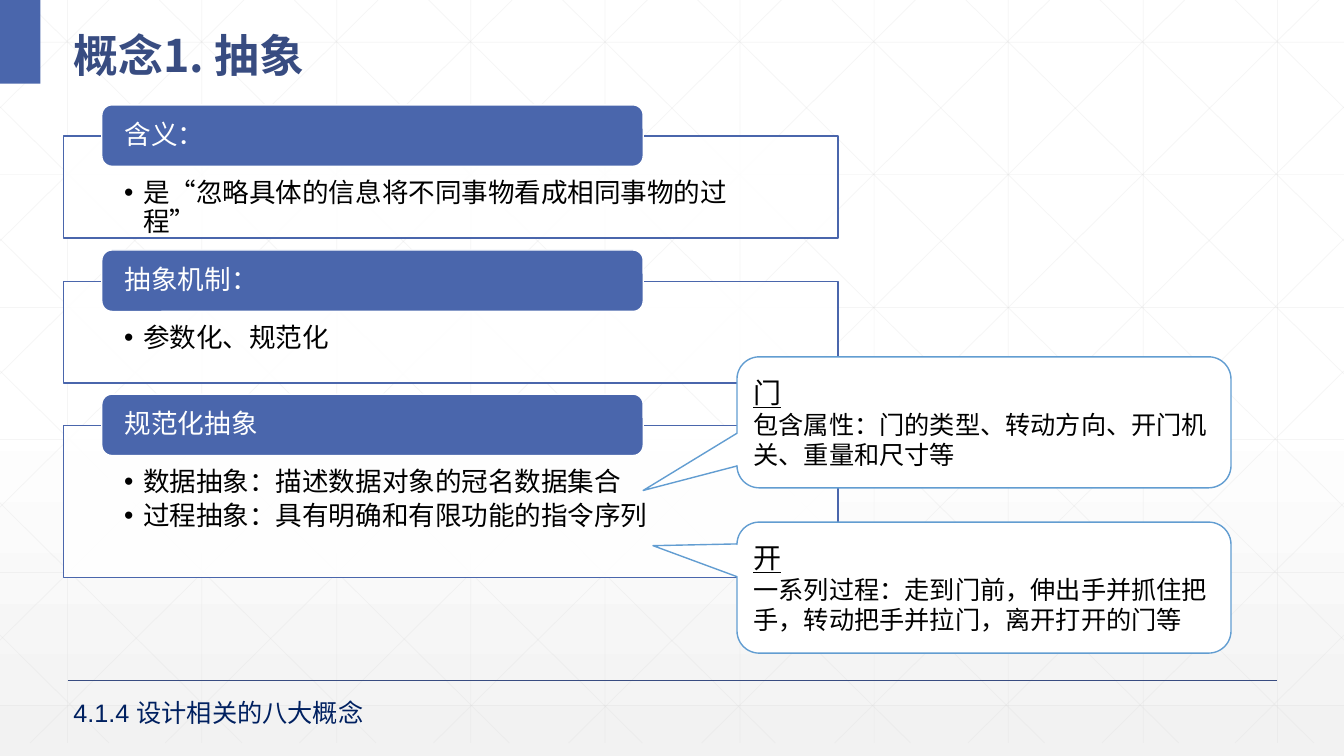
from dataclasses import dataclass

from lxml import etree
from pptx import Presentation
from pptx import util as u
from pptx.dml.color import RGBColor
from pptx.enum import lang, shapes, text
from pptx.oxml.ns import qn

PX = 9144
WIDE, HIGH = 1333, 750


@dataclass(frozen=True)
class Theme:
    blue: str = "4A66AC"
    deep: str = "384C81"
    sky: str = "629DD1"
    navy: str = "002060"
    black: str = "000000"
    white: str = "FFFFFF"
    mist: str = "F2F2F2"
    grey: str = "D9D9D9"
    latin: str = "Arial"
    asian: str = "Noto Sans CJK SC"
    title: int = 32
    lead: int = 20
    body: int = 19
    note: int = 18


def px(*nums):
    return [u.Emu(round(n) * PX) for n in nums]


def tint(fill, color, alpha=None):
    fill.solid()
    fill.fore_color.rgb = RGBColor.from_string(color)
    if alpha:
        clr = fill._xPr.find(".//" + qn("a:srgbClr"))
        etree.SubElement(clr, qn("a:alpha"), val=str(alpha * 1000))


def write(para, words, size, color, latin, asian, bold=None, under=None,
          bullet=False, lead=None, after=None):
    if bullet:
        props = para._p.get_or_add_pPr()
        props.set("marL", str(19 * PX))
        props.set("indent", str(-19 * PX))
        etree.SubElement(props, qn("a:buFont"), typeface=latin)
        etree.SubElement(props, qn("a:buChar"), char="•")
    para.alignment = text.PP_ALIGN.LEFT
    if lead:
        para.line_spacing = lead
    if after:
        para.space_after = u.Pt(after)
    run = para.add_run()
    run.text = words
    font = run.font
    font.size, font.bold, font.underline = u.Pt(size), bold, under
    font.name = latin
    font.language_id = lang.MSO_LANGUAGE_ID.SIMPLIFIED_CHINESE
    font.color.rgb = RGBColor.from_string(color)
    face = etree.Element(qn("a:ea"), typeface=asian)
    font._element.find(qn("a:latin")).addnext(face)


class Page:
    def __init__(self, slide, style):
        self.slide, self.style = slide, style

    def ground(self):
        fill = self.slide.background.fill
        fill.gradient()
        fill.gradient_angle = 270
        stops = self.slide.element.find(".//" + qn("a:gsLst"))
        for stop in list(stops):
            stops.remove(stop)
        st = self.style
        for spot, color in ((0, st.white), (53, st.white), (100, st.mist)):
            stop = etree.SubElement(stops, qn("a:gs"), pos=str(spot * 1000))
            etree.SubElement(stop, qn("a:srgbClr"), val=color)

    def line(self, x1, y1, x2, y2, color, width, alpha=None):
        item = self.slide.shapes.add_connector(
            shapes.MSO_CONNECTOR.STRAIGHT, *px(x1, y1, x2, y2))
        item.line.width = u.Pt(width)
        tint(item.line.fill, color, alpha)
        etree.SubElement(item._element.spPr, qn("a:effectLst"))

    def mesh(self):
        base = 737
        rule = dict(color=self.style.grey, width=0.5, alpha=25)
        for i in range(10):
            x = 67 + i * 400 / 3
            self.line(x, 0, x, base, **rule)
        for i in range(6):
            y = 41.6 + 131.6 * i
            self.line(0, y, WIDE, y, **rule)
        slope = 0.99
        for i in range(-5, 10):
            x = 25 + i * (133.3 if i >= 0 else 132.3)
            x1, x2 = max(x, 0), min(x + base / slope, WIDE)
            y1, y2 = (x1 - x) * slope, (x2 - x) * slope
            self.line(x1, y1, x2, y2, **rule)
            self.line(WIDE - x1, y1, WIDE - x2, y2, **rule)

    def fill(self, frame, paras, inset=None, anchor=text.MSO_ANCHOR.MIDDLE):
        st = self.style
        frame.word_wrap = True
        frame.vertical_anchor = anchor
        if inset:
            (frame.margin_left, frame.margin_top,
             frame.margin_right, frame.margin_bottom) = px(*inset)
        for i, (words, form) in enumerate(paras):
            para = frame.add_paragraph() if i else frame.paragraphs[0]
            write(para, words, **{"latin": st.latin, "asian": st.asian, **form})

    def label(self, box, words, **form):
        item = self.slide.shapes.add_textbox(*px(*box))
        self.fill(item.text_frame, [(words, form)])

    def shape(self, kind, box, color, edge=None, alpha=None):
        item = self.slide.shapes.add_shape(kind, *px(*box))
        item.shadow.inherit = False
        tint(item.fill, color, alpha)
        if edge:
            tint(item.line.fill, edge)
            item.line.width = u.Pt(1)
        else:
            item.line.fill.background()
        return item

    def panel(self, top, high, head, points):
        st, kind = self.style, shapes.MSO_SHAPE
        body = self.shape(kind.RECTANGLE, (63, top, 768, high),
                          st.white, st.blue, 90)
        form = dict(size=st.body, color=st.black, bullet=True,
                    lead=0.9, after=3.5)
        self.fill(body.text_frame, [(p, form) for p in points],
                  (60, 43, 60, 15), text.MSO_ANCHOR.TOP)
        tab = self.shape(kind.ROUNDED_RECTANGLE, (101, top - 31, 537, 61),
                         st.blue, st.white)
        form = dict(size=st.body, color=st.white, lead=0.9)
        self.fill(tab.text_frame, [(head, form)], (20, 0, 20, 0))

    def callout(self, top, tip, head, words):
        st = self.style
        item = self.shape(shapes.MSO_SHAPE.ROUNDED_RECTANGULAR_CALLOUT,
                          (731, top, 490, 130), st.white, st.sky)
        for i, part in enumerate((*tip, 0.17)):
            item.adjustments[i] = part
        self.fill(item.text_frame, [
            (head, dict(size=st.lead, color=st.black, under=True)),
            (words, dict(size=st.note, color=st.black))])


PANELS = [
    (101, "含义：", ["是“忽略具体的信息将不同事物看成相同事物的过程”"]),
    (101, "抽象机制：", ["参数化、规范化"]),
    (151, "规范化抽象", ["数据抽象：描述数据对象的冠名数据集合",
                    "过程抽象：具有明确和有限功能的指令序列"]),
]
NOTES = [
    (354, (-0.69, 0.52), "门", "包含属性：门的类型、转动方向、开门机关、重量和尺寸等"),
    (518, (-0.67, -0.32), "开",
     "一系列过程：走到门前，伸出手并抓住把手，转动把手并拉门，离开打开的门等"),
]


def main():
    deck = Presentation()
    deck.slide_width, deck.slide_height = px(WIDE, HIGH)
    st = Theme()
    page = Page(deck.slides.add_slide(deck.slide_layouts[6]), st)
    page.ground()
    page.mesh()
    page.line(67, 675, 1267, 675, st.deep, 1)
    page.shape(shapes.MSO_SHAPE.RECTANGLE, (0, 0, 40, 83), st.blue)
    page.label((63, 10, 1242, 73), "概念1. 抽象", size=st.title,
               color=st.deep, latin=st.asian, bold=True, lead=1.3)
    for i, (high, head, points) in enumerate(PANELS):
        page.panel(135 + round(143.5 * i), high, head, points)
    for note in NOTES:
        page.callout(*note)
    page.label((63, 687, 378, 40), "4.1.4 设计相关的八大概念",
               size=st.note, color=st.navy)
    deck.save("out.pptx")


if __name__ == "__main__":
    main()
